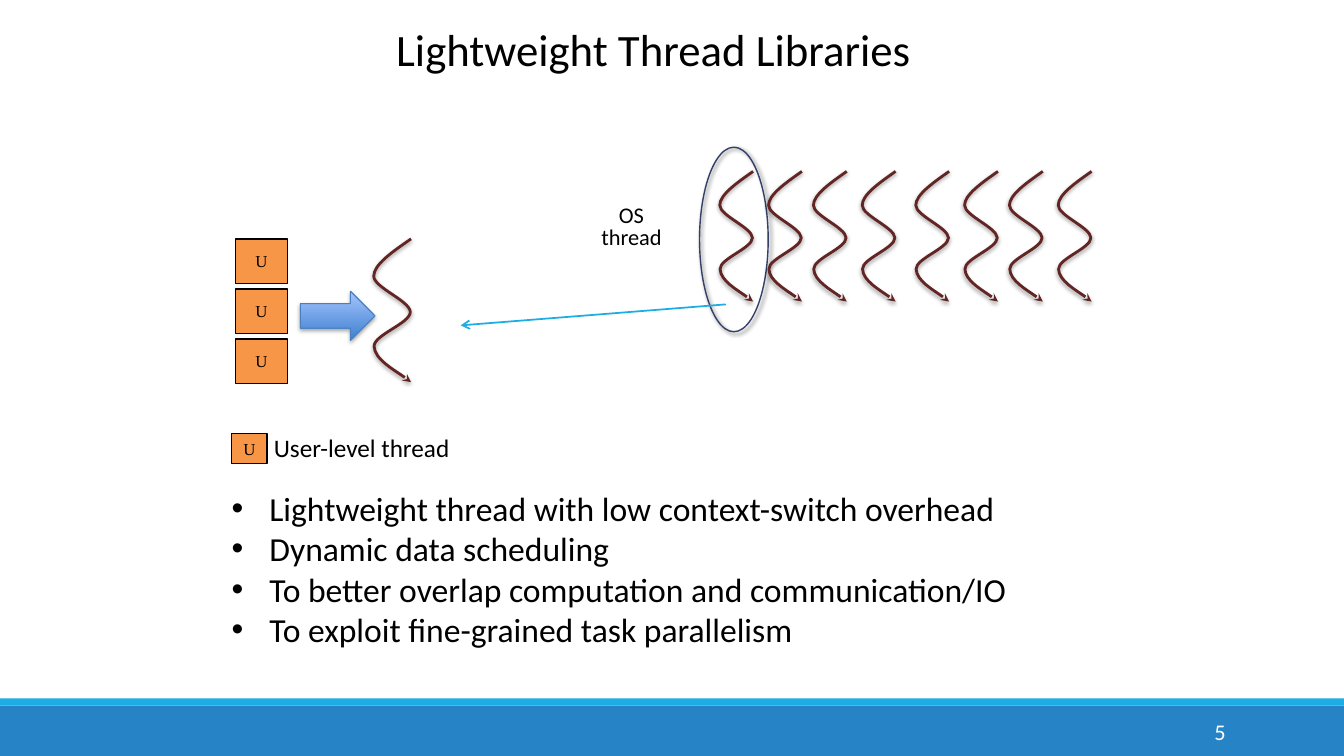
from itertools import product

from lxml.etree import SubElement
from pptx import Presentation
from pptx.dml.color import RGBColor
from pptx.enum.shapes import MSO_CONNECTOR as Connector, MSO_SHAPE as Shape
from pptx.enum.text import MSO_ANCHOR as Anchor, MSO_AUTO_SIZE as AutoSize, PP_ALIGN as Align
from pptx.oxml.ns import qn
from pptx.util import Cm, Pt

BLACK, WHITE, BLUE, CYAN = "000000", "FFFFFF", "2683C6", "1CADE4"
ORANGE, BROWN, NAVY, ARROW_EDGE = "F79646", "632523", "344068", "4B7EBC"

# Start point, then three points per Bezier curve, as fractions of the box
WAVE = [(1, 0),
        (.5, .09), (0, .18), (0, .26), (0, .34), (.96, .43), (.98, .51),
        (.98, .59), (0, .67), (.01, .75), (.02, .84), (.83, .96), (1, 1)]

BULLETS = [
    "Lightweight thread with low context-switch overhead",
    "Dynamic data scheduling",
    "To better overlap computation and communication/IO",
    "To exploit fine-grained task parallelism",
]


def rgb(color):
    return RGBColor.from_string(color)


def set_attributes(target, values):
    for name, value in values.items():
        setattr(target, name, value)


def set_line(shape, color, width):
    shape.line.color.rgb = rgb(color)
    shape.line.width = Pt(width)


def set_arrowhead(shape, kind):
    line = shape._element.spPr.find(qn("a:ln"))
    SubElement(line, qn("a:tailEnd"), type=kind)


def set_shadow(shape, alpha, blur, distance, angle):
    """Add an outer shadow: alpha in percent, blur and distance in points."""
    shape.shadow.inherit = False
    effects = shape._element.spPr.find(qn("a:effectLst"))
    outer = SubElement(effects, qn("a:outerShdw"), blurRad=str(Pt(blur)),
                       dist=str(Pt(distance)), dir=str(angle * 60000), rotWithShape="0")
    color = SubElement(outer, qn("a:srgbClr"), val=BLACK)
    SubElement(color, qn("a:alpha"), val=str(alpha * 1000))


def set_bullet(paragraph):
    indent = Cm(0.95)
    properties = paragraph._p.get_or_add_pPr()
    set_indent = {"marL": indent, "indent": -indent}
    for name, value in set_indent.items():
        properties.set(name, str(value))
    SubElement(properties, qn("a:buFont"), typeface="Arial")
    SubElement(properties, qn("a:buChar"), char="•")


def write(shape, lines, size, color=BLACK, font="Calibri", align=Align.LEFT,
          spacing=1.0, bullets=False, **frame_values):
    frame = shape.text_frame
    set_attributes(frame, {"word_wrap": True, "auto_size": AutoSize.NONE,
                           "vertical_anchor": Anchor.TOP, **frame_values})
    for index, line in enumerate(lines):
        paragraph = frame.add_paragraph() if index else frame.paragraphs[0]
        paragraph.text = line
        set_attributes(paragraph, {"alignment": align, "line_spacing": spacing})
        if bullets:
            set_bullet(paragraph)
        for run in paragraph.runs:
            set_attributes(run.font, {"name": font, "size": Pt(size)})
            run.font.color.rgb = rgb(color)


def add_text(slide, box, lines, size, **values):
    write(slide.shapes.add_textbox(*map(Cm, box)), lines, size, **values)


def add_bar(slide, top, height, color):
    bar = slide.shapes.add_shape(Shape.RECTANGLE, 0, Cm(top), Cm(33.87), Cm(height))
    bar.shadow.inherit = False
    bar.fill.solid()
    bar.fill.fore_color.rgb = rgb(color)
    bar.line.fill.background()


def add_user_thread(slide, *box):
    square = slide.shapes.add_shape(Shape.RECTANGLE, *map(Cm, box))
    square.shadow.inherit = False
    square.fill.solid()
    square.fill.fore_color.rgb = rgb(ORANGE)
    set_line(square, BLACK, 1)
    write(square, ["U"], 12, font="Times New Roman", align=Align.CENTER, word_wrap=False,
          vertical_anchor=Anchor.MIDDLE, margin_top=0, margin_bottom=0)


def add_os_thread(slide, left, top, width, height):
    """Draw a wavy arrow, turning each three line points into one Bezier curve."""
    points = [(Cm(left + x * width), Cm(top + y * height)) for x, y in WAVE]
    builder = slide.shapes.build_freeform(*points[0])
    builder.add_line_segments(points[1:], close=False)
    wave = builder.convert_to_shape()
    outline = next(wave._element.iter(qn("a:moveTo"))).getparent()
    segments = outline.findall(qn("a:lnTo"))
    for start in range(0, len(segments), 3):
        curve = SubElement(outline, qn("a:cubicBezTo"))
        for segment in segments[start:start + 3]:
            curve.append(segment[0])
            outline.remove(segment)
    wave.fill.background()
    set_line(wave, BROWN, 2)
    set_arrowhead(wave, "stealth")
    set_shadow(wave, 38, 3.1, 1.6, 90)


def add_block_arrow(slide, *box):
    arrow = slide.shapes.add_shape(Shape.RIGHT_ARROW, *map(Cm, box))
    arrow.fill.gradient()
    arrow.fill.gradient_angle = 90
    for stop, position, color in zip(arrow.fill.gradient_stops, (0, 1), ("3F80CE", "A4C4FF")):
        stop.position = position
        stop.color.rgb = rgb(color)
    set_line(arrow, ARROW_EDGE, 0.75)
    set_shadow(arrow, 35, 3.1, 1.8, 90)


def add_highlight(slide, *box):
    ellipse = slide.shapes.add_shape(Shape.OVAL, *map(Cm, box))
    ellipse.fill.background()
    set_line(ellipse, NAVY, 1)
    set_shadow(ellipse, 60, 3, 2, 45)


def add_pointer(slide, *ends):
    pointer = slide.shapes.add_connector(Connector.STRAIGHT, *map(Cm, ends))
    set_line(pointer, CYAN, 1.25)
    set_arrowhead(pointer, "arrow")
    SubElement(pointer._element.spPr, qn("a:effectLst"))


def add_title(slide, box, text):
    title = slide.shapes.title
    set_attributes(title, dict(zip(("left", "top", "width", "height"), map(Cm, box))))
    write(title, [text], 32, word_wrap=False)


def main():
    presentation = Presentation()
    set_attributes(presentation, {"slide_width": Cm(33.87), "slide_height": Cm(19.05)})
    slide = presentation.slides.add_slide(presentation.slide_layouts[5])

    add_bar(slide, 17.78, 1.27, BLUE)
    add_bar(slide, 17.6, 0.18, CYAN)
    add_title(slide, (9.73, 0.43, 13.61, 1.63), "Lightweight Thread Libraries")

    add_os_thread(slide, 9.42, 6.02, 0.94, 3.61)
    for row in range(3):
        add_user_thread(slide, 5.94, 6.02 + row * 1.26, 1.3, 1.12)
    add_block_arrow(slide, 7.57, 7.34, 1.88, 1.24)

    add_highlight(slide, 17.63, 3.71, 1.73, 4.65)
    add_text(slide, (14.43, 5.08, 2.97, 1.8), ["OS\nthread"], 16,
             align=Align.CENTER, spacing=0.8)
    for offsets in product((0, 4.94), (0, 2.36), (0, 1.23)):
        add_os_thread(slide, 18.14 + sum(offsets), 4.32, 0.84, 3.28)
    add_pointer(slide, 18.29, 7.67, 11.61, 8.2)

    add_user_thread(slide, 5.84, 10.92, 0.89, 0.76)
    add_text(slide, (6.65, 10.77, 5.51, 1.02), ["User-level thread"], 18)
    add_text(slide, (5.59, 12.17, 21.92, 4.37), BULLETS, 24, bullets=True)
    add_text(slide, (27.51, 17.93, 3.63, 1.02), ["5"], 16, color=WHITE,
             align=Align.RIGHT, vertical_anchor=Anchor.MIDDLE)
    presentation.save("out.pptx")


if __name__ == "__main__":
    main()
